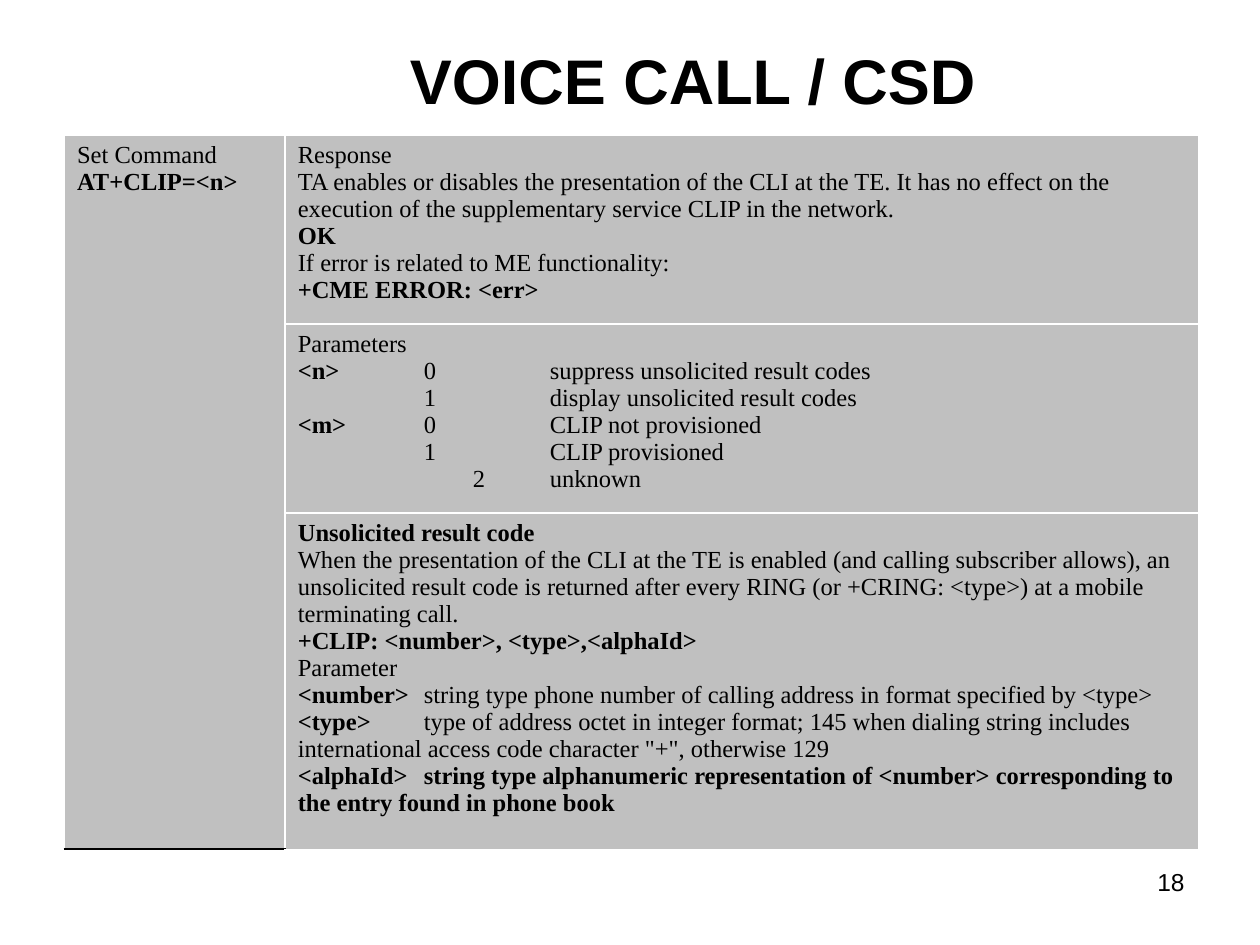
"""Build the slide on the voice call CLIP command."""
import dataclasses

import lxml.etree
import pptx
import pptx.enum.text
import pptx.oxml.ns
import pptx.util

Cm = pptx.util.Cm
Pt = pptx.util.Pt
ALIGN = pptx.enum.text.PP_ALIGN
ANCHOR = pptx.enum.text.MSO_ANCHOR

COLORS = {"text": "000000", "cell": "C0C0C0", "border": "FFFFFF", "bottom": "000000"}
COLUMN_WIDTHS = (4.45, 18.41)
ROW_HEIGHTS = (3.81, 3.81, 6.78)
TAB_STOPS = (2.54, 5.08)
INDENTED_TAB_STOPS = (3.53, 5.08)


@dataclasses.dataclass(frozen=True)
class Line:
    """One paragraph: a bold lead followed by plain text."""

    lead: str = ""
    text: str = ""
    tab_stops: tuple = TAB_STOPS


@dataclasses.dataclass(frozen=True)
class Block:
    """One table cell, possibly spanning several rows."""

    row: int
    column: int
    lines: tuple
    row_span: int = 1


@dataclasses.dataclass(frozen=True)
class Label:
    """One text box holding a single line."""

    text: str
    left: float
    top: float
    width: float
    height: float
    size: int
    bold: bool
    align: ALIGN
    anchor: ANCHOR


LABELS = (
    Label("VOICE CALL / CSD", 2.54, 0, 22.86, 3.18, 36, True, ALIGN.CENTER, ANCHOR.MIDDLE),
    Label("18", 18.21, 17.35, 5.92, 1.32, 14, False, ALIGN.RIGHT, ANCHOR.TOP),
)

BLOCKS = (
    Block(0, 0, (Line(text="Set Command"), Line("AT+CLIP=<n>")), row_span=3),
    Block(0, 1, (
        Line(text="Response"),
        Line(text="TA enables or disables the presentation of the CLI at the TE. It has no "
                  "effect on the execution of the supplementary service CLIP in the network."),
        Line("OK"),
        Line(text="If error is related to ME functionality:"),
        Line("+CME ERROR: <err>"),
    )),
    Block(1, 1, (
        Line(text="Parameters"),
        Line("<n>\t", "0\tsuppress unsolicited result codes"),
        Line(text="\t1\tdisplay unsolicited result codes"),
        Line("<m>\t", "0\tCLIP not provisioned"),
        Line(text="\t1\tCLIP provisioned"),
        Line(text="\t2\tunknown", tab_stops=INDENTED_TAB_STOPS),
    )),
    Block(2, 1, (
        Line("Unsolicited result code"),
        Line(text="When the presentation of the CLI at the TE is enabled (and calling subscriber "
                  "allows), an unsolicited result code is returned after every RING "
                  "(or +CRING: <type>) at a mobile terminating call."),
        Line("+CLIP: <number>, <type>,<alphaId>"),
        Line(text="Parameter"),
        Line("<number>\t", "string type phone number of calling address in format specified "
                           "by <type>"),
        Line("<type>\t", "type of address octet in integer format; 145 when dialing string "
                         "includes international access code character \"+\", otherwise 129"),
        Line("<alphaId>\tstring type alphanumeric representation of <number> corresponding to "
             "the entry found in phone book"),
    )),
)


def add_element(parent, tag: str, **attributes: str):
    """Append a drawing element and return it."""
    return lxml.etree.SubElement(parent, pptx.oxml.ns.qn(tag), attributes)


def add_text(paragraph, text: str, *, font: str = "Times New Roman", size: int = 14,
             bold: bool = False, color: str = COLORS["text"]) -> None:
    """Add a formatted run to a paragraph."""
    run = paragraph.add_run()
    run.text = text
    run.font.name = font
    run.font.size = Pt(size)
    run.font.bold = bold
    run.font.color.rgb = pptx.dml.color.RGBColor.from_string(color)


def add_label(slide, label: Label) -> None:
    """Add a one-line text box."""
    shape = slide.shapes.add_textbox(Cm(label.left), Cm(label.top),
                                     Cm(label.width), Cm(label.height))
    shape.text_frame.word_wrap = True
    shape.text_frame.vertical_anchor = label.anchor
    paragraph = shape.text_frame.paragraphs[0]
    paragraph.alignment = label.align
    add_text(paragraph, label.text, font="Arial", size=label.size, bold=label.bold)


def style_cell(cell, bottom: str, bottom_width: float) -> None:
    """Give a cell its four borders and its fill."""
    properties = cell._tc.get_or_add_tcPr()
    white = (COLORS["border"], 0.96)
    borders = {"a:lnL": white, "a:lnR": white, "a:lnT": white, "a:lnB": (bottom, bottom_width)}
    for tag, (color, width) in borders.items():
        line = add_element(properties, tag, w=str(Pt(width)))
        add_element(add_element(line, "a:solidFill"), "a:srgbClr", val=color)
    cell.fill.solid()
    cell.fill.fore_color.rgb = pptx.dml.color.RGBColor.from_string(COLORS["cell"])


def write_line(paragraph, line: Line) -> None:
    """Write a line's runs and tab stops."""
    tabs = add_element(paragraph._p.get_or_add_pPr(), "a:tabLst")
    for stop in line.tab_stops:
        add_element(tabs, "a:tab", pos=str(Cm(stop)), algn="l")
    for text, bold in ((line.lead, True), (line.text, False)):
        if text:
            add_text(paragraph, text, bold=bold)


def add_block(table, block: Block) -> None:
    """Fill, merge and write one block of the table."""
    last_row = block.row + block.row_span - 1
    merged = block.row_span > 1
    for row in range(block.row, last_row + 1):
        style_cell(table.cell(row, block.column),
                   COLORS["bottom"] if merged else COLORS["border"], 1.08 if merged else 0.96)
    cell = table.cell(block.row, block.column)
    if merged:
        cell.merge(table.cell(last_row, block.column))
    for index, line in enumerate(block.lines):
        frame = cell.text_frame
        write_line(frame.add_paragraph() if index else frame.paragraphs[0], line)


def add_command_table(slide) -> None:
    """Add the command table with its blocks."""
    table = slide.shapes.add_table(len(ROW_HEIGHTS), len(COLUMN_WIDTHS), Cm(1.3), Cm(2.72),
                                   Cm(sum(COLUMN_WIDTHS)), Cm(sum(ROW_HEIGHTS))).table
    table.first_row = False
    table.horz_banding = False
    for column, width in zip(table.columns, COLUMN_WIDTHS):
        column.width = Cm(width)
    for row, height in zip(table.rows, ROW_HEIGHTS):
        row.height = Cm(height)
    for block in BLOCKS:
        add_block(table, block)


def main() -> None:
    """Build and save the presentation."""
    presentation = pptx.Presentation()
    presentation.slide_width = Cm(25.4)
    presentation.slide_height = Cm(19.05)
    slide = presentation.slides.add_slide(presentation.slide_layouts[6])
    add_command_table(slide)
    for label in LABELS:
        add_label(slide, label)
    presentation.save("out.pptx")


if __name__ == "__main__":
    main()
